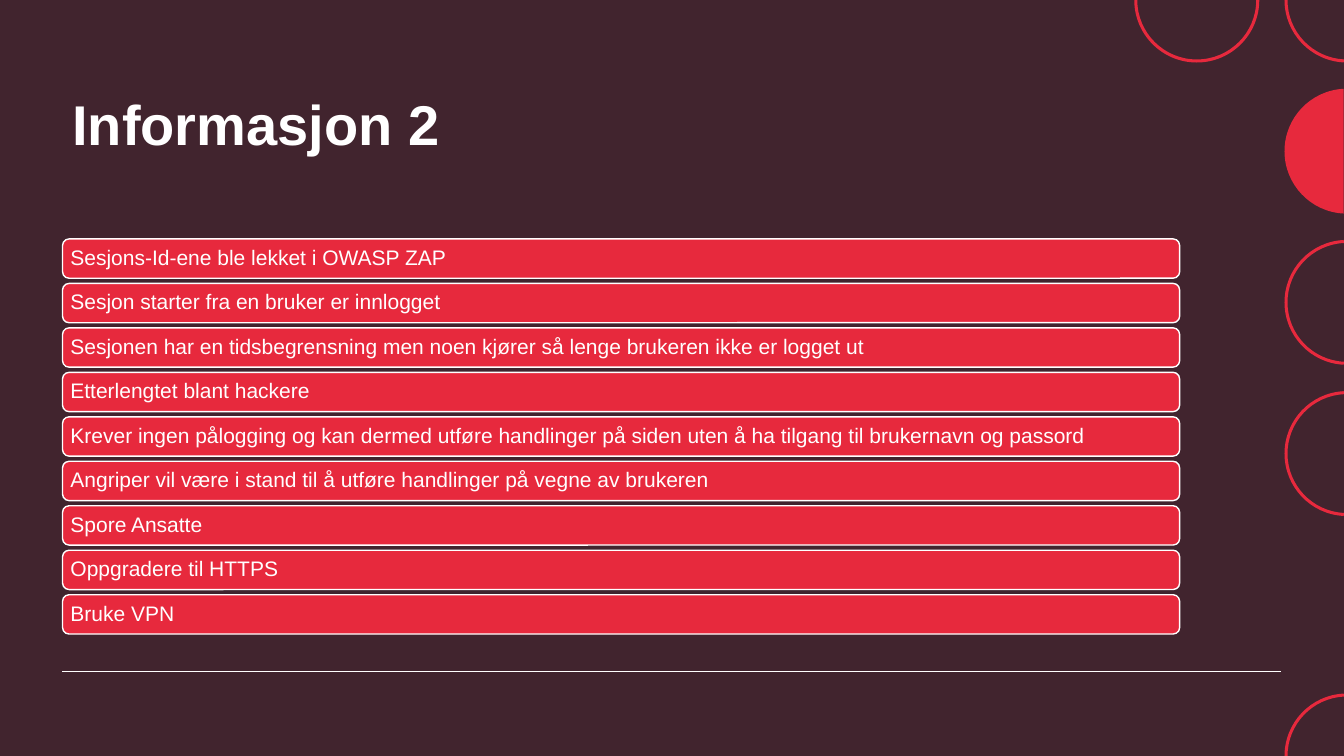
from math import ceil, cos, radians, sin, tan

from pptx import Presentation
from pptx.dml.color import RGBColor
from pptx.enum import shapes, text
from pptx.oxml import xmlchemy
from pptx.util import Inches, Pt

DARK = RGBColor(0x41, 0x24, 0x2E)
RED = RGBColor(0xE7, 0x29, 0x3D)
WHITE = RGBColor(0xFF, 0xFF, 0xFF)
FONT = "Arial"
WIDTH, HEIGHT = 13.33, 7.5
LEFT, SPAN = 0.62, 11.08
RADIUS, INNER = 0.62, 0.59
INSET, EDGE = 11.87, 13.36
ITEMS = [
    "Sesjons-Id-ene ble lekket i OWASP ZAP",
    "Sesjon starter fra en bruker er innlogget",
    "Sesjonen har en tidsbegrensning men noen kjører så lenge brukeren ikke er logget ut",
    "Etterlengtet blant hackere",
    "Krever ingen pålogging og kan dermed utføre handlinger på siden uten å ha tilgang til brukernavn og passord",
    "Angriper vil være i stand til å utføre handlinger på vegne av brukeren",
    "Spore Ansatte",
    "Oppgradere til HTTPS",
    "Bruke VPN",
]
RINGS = [
    (INSET, 0, 0, 180),
    (EDGE, 0, 93, 180),
    (EDGE, 3, 93, 267),
    (EDGE, 4.5, 93, 267),
    (EDGE, HEIGHT, 180, 267),
]


def add_run(para, words, size, bold=False):
    run = para.add_run()
    run.text = words
    font = run.font
    font.name, font.size, font.bold = FONT, Pt(size), bold
    font.color.rgb = WHITE


def add_title(slide, words):
    box = slide.shapes.add_textbox(Inches(LEFT), Inches(0.84), Inches(SPAN), Inches(1.39))
    frame = box.text_frame
    frame.word_wrap = True
    add_run(frame.paragraphs[0], words, 40, True)


def add_bar(slide, top, words):
    bar = slide.shapes.add_shape(
        shapes.MSO_SHAPE.ROUNDED_RECTANGLE,
        Inches(LEFT), Inches(top), Inches(SPAN), Inches(0.39))
    bar.shadow.inherit = False
    bar.fill.solid()
    bar.fill.fore_color.rgb = RED
    bar.line.color.rgb = WHITE
    bar.line.width = Pt(1)
    frame = bar.text_frame
    frame.word_wrap = True
    frame.vertical_anchor = text.MSO_ANCHOR.MIDDLE
    frame.margin_left = frame.margin_right = Inches(0.06)
    frame.margin_top = frame.margin_bottom = Inches(0.06)
    para = frame.paragraphs[0]
    para.alignment = text.PP_ALIGN.LEFT
    para.line_spacing = 0.9
    add_run(para, words, 15)


def get_arc(mid, level, radius, start, end):
    count = ceil(abs(end - start) / 90)
    step = radians(end - start) / count
    pull = 4 / 3 * tan(step / 4)

    def spot(turn, lean):
        x = mid + radius * (cos(turn) - lean * sin(turn))
        y = level + radius * (sin(turn) + lean * cos(turn))
        return Inches(min(x, WIDTH)), Inches(y)

    points = [spot(radians(start), 0)]
    for part in range(count):
        turn = radians(start) + part * step
        points += [spot(turn, pull), spot(turn + step, -pull), spot(turn + step, 0)]
    return points


def bend(lines):
    curve = xmlchemy.OxmlElement("a:cubicBezTo")
    lines[0].addprevious(curve)
    for line in lines:
        curve.append(line[0])
        line.getparent().remove(line)


def add_form(slide, *arcs):
    points = sum(arcs, [])
    form = slide.shapes.build_freeform(*points[0])
    form.add_line_segments(points[1:], close=True)
    shape = form.convert_to_shape()
    shape.shadow.inherit = False
    shape.fill.solid()
    shape.fill.fore_color.rgb = RED
    shape.line.fill.background()
    lines = shape._element.xpath(".//a:lnTo")
    first = 0
    for arc in arcs:
        last = first + len(arc) - 1
        for spot in range(first, last, 3):
            bend(lines[spot:spot + 3])
        first = last + 1


def add_ring(slide, mid, level, start, end):
    add_form(slide, get_arc(mid, level, RADIUS, start, end),
             get_arc(mid, level, INNER, end, start))


def add_rule(slide):
    rule = slide.shapes.add_connector(
        shapes.MSO_CONNECTOR.STRAIGHT,
        Inches(LEFT), Inches(6.66), Inches(12.71), Inches(6.66))
    rule.line.color.rgb = WHITE
    rule.line.width = Pt(1)
    rule._element.spPr.append(xmlchemy.OxmlElement("a:effectLst"))


def main():
    deck = Presentation()
    deck.slide_width, deck.slide_height = Inches(WIDTH), Inches(HEIGHT)
    slide = deck.slides.add_slide(deck.slide_layouts[6])
    slide.background.fill.solid()
    slide.background.fill.fore_color.rgb = DARK
    add_title(slide, "Informasjon 2")
    for row, words in enumerate(ITEMS):
        add_bar(slide, 2.37 + row * 3.53 / 8, words)
    add_form(slide, get_arc(EDGE, 1.5, RADIUS, 93, 267))
    for ring in RINGS:
        add_ring(slide, *ring)
    add_rule(slide)
    deck.save("out.pptx")


if __name__ == "__main__":
    main()
